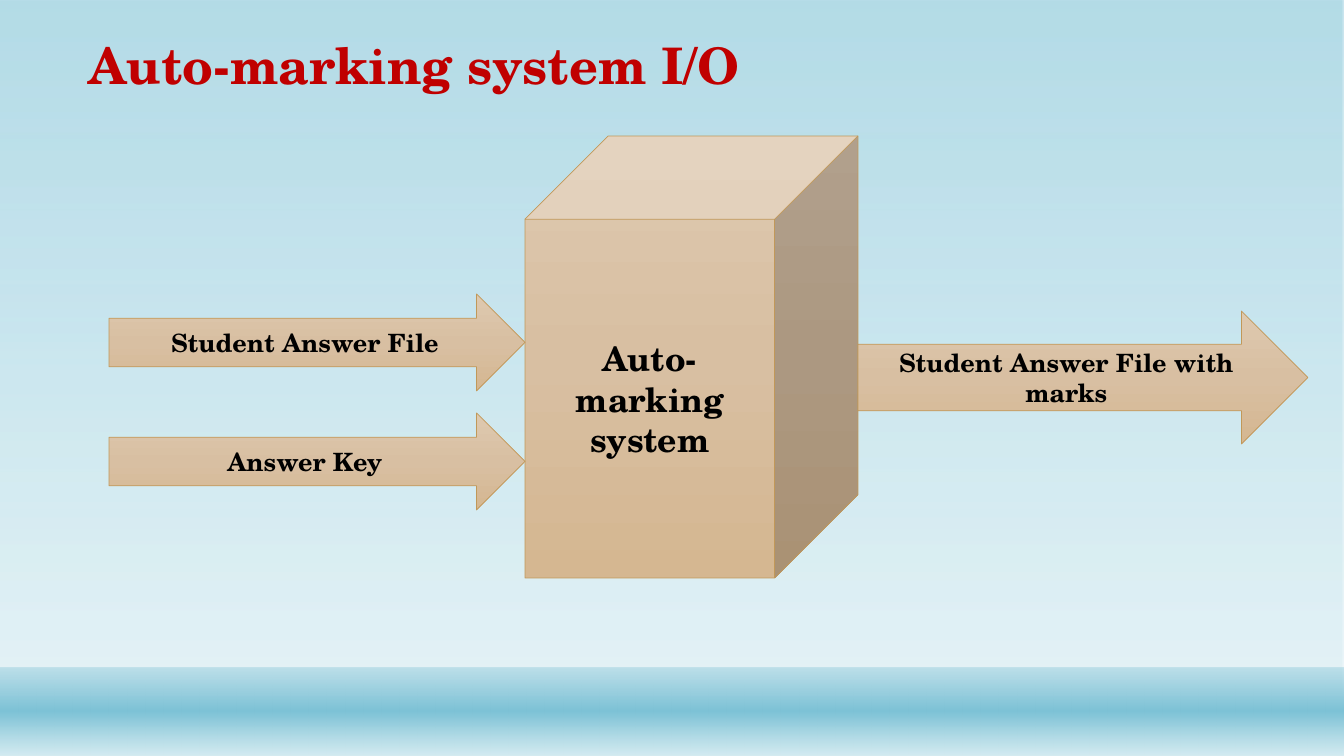
from dataclasses import dataclass

from lxml.etree import SubElement
from pptx import Presentation
from pptx.dml.color import RGBColor
from pptx.enum.shapes import MSO_SHAPE as SHAPE
from pptx.enum.text import MSO_ANCHOR as ANCHOR, PP_ALIGN as ALIGN
from pptx.oxml.ns import qn
from pptx.util import Pt

W, H = 1344, 756
PX = 914400 / 100.8

TITLE = "Auto-marking system I/O"
SYSTEM = "Auto-marking system"
INPUTS = ["Student Answer File", "Answer Key"]
OUTPUT = "Student Answer File with marks"


@dataclass(frozen=True)
class Theme:
    font: str = "TeX Gyre Schola"
    title: str = "C00000"
    text: str = "000000"
    line: str = "C19859"
    line_pt: float = 0.5
    title_pt: int = 36
    system_pt: int = 24
    arrow_pt: int = 18
    # Gradient stops: position %, colour, opacity %
    sky: tuple = ((0, "7DC2D6", 58), (88, "D4EBF1", 65))
    band: tuple = ((1, "7DC2D6", 38), (49, "7DC2D6", 100), (100, "D4EBF1", 89))
    tan: tuple = ((0, "DEC9AF", 100), (50, "D8BFA2", 100), (100, "D5B791", 100))


THEME = Theme()

TITLE_BOX = (79, 34, 1246, 66)
CUBE = (525, 136, 333, 442)
BAND_TOP = 668
IN_LEFT, IN_TOP, IN_HEIGHT, IN_STEP = 109, 294, 97, 119
OUT_TOP, OUT_WIDTH, OUT_HEIGHT = 311, 450, 133


def emu(box):
    return [round(v * PX) for v in box]


def set_gradient(sp, stops):
    """Fill from top to bottom with stops that may be translucent."""
    sp.fill.gradient()
    sp.fill.gradient_angle = 270
    gs_list = sp._element.spPr.find(qn("a:gradFill")).find(qn("a:gsLst"))
    for gs in list(gs_list):
        gs_list.remove(gs)
    for pos, color, opacity in stops:
        gs = SubElement(gs_list, qn("a:gs"), pos=str(pos * 1000))
        clr = SubElement(gs, qn("a:srgbClr"), val=color)
        if opacity < 100:
            SubElement(clr, qn("a:alpha"), val=str(opacity * 1000))


def write(sp, text, size, color, anchor, **paragraph_format):
    tf = sp.text_frame
    tf.word_wrap = True
    tf.vertical_anchor = anchor
    p = tf.paragraphs[0]
    for name, value in paragraph_format.items():
        setattr(p, name, value)
    r = p.add_run()
    r.text = text
    for name, value in {"name": THEME.font, "size": Pt(size), "bold": True}.items():
        setattr(r.font, name, value)
    r.font.color.rgb = RGBColor.from_string(color)


def add_shape(s, kind, box, stops):
    sp = s.shapes.add_shape(kind, *emu(box))
    sp.shadow.inherit = False
    set_gradient(sp, stops)
    sp.line.fill.background()
    return sp


def add_block(s, kind, box, text, size):
    """Add a tan outlined shape with a centred label."""
    sp = add_shape(s, kind, box, THEME.tan)
    sp.line.color.rgb = RGBColor.from_string(THEME.line)
    sp.line.width = Pt(THEME.line_pt)
    write(sp, text, size, THEME.text, ANCHOR.MIDDLE, alignment=ALIGN.CENTER)


def main():
    prs = Presentation()
    prs.slide_width, prs.slide_height = emu((W, H))
    s = prs.slides.add_slide(prs.slide_layouts[6])

    add_shape(s, SHAPE.RECTANGLE, (0, 0, W, H), THEME.sky)
    add_shape(s, SHAPE.RECTANGLE, (0, BAND_TOP, W, H - BAND_TOP), THEME.band)

    title = s.shapes.add_textbox(*emu(TITLE_BOX))
    write(title, TITLE, THEME.title_pt, THEME.title, ANCHOR.BOTTOM, line_spacing=0.9)

    add_block(s, SHAPE.CUBE, CUBE, SYSTEM, THEME.system_pt)
    cube_left, cube_right = CUBE[0], CUBE[0] + CUBE[2]
    arrows = [
        (text, (IN_LEFT, IN_TOP + i * IN_STEP, cube_left - IN_LEFT, IN_HEIGHT))
        for i, text in enumerate(INPUTS)
    ]
    arrows.append((OUTPUT, (cube_right, OUT_TOP, OUT_WIDTH, OUT_HEIGHT)))
    for text, box in arrows:
        add_block(s, SHAPE.RIGHT_ARROW, box, text, THEME.arrow_pt)

    prs.save("out.pptx")


if __name__ == "__main__":
    main()
